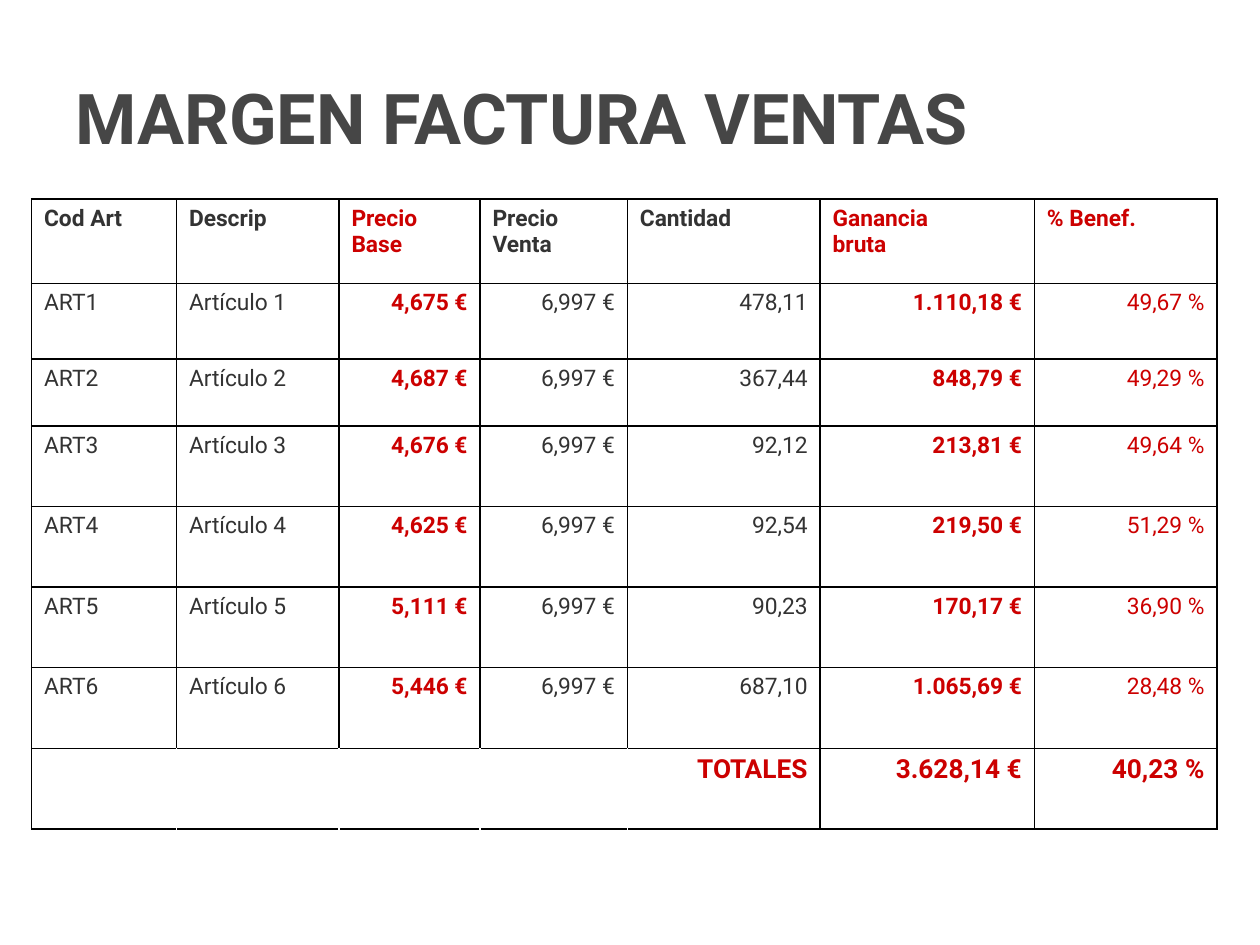
from dataclasses import dataclass

from pptx import Presentation
from pptx.dml.color import RGBColor as RGB
from pptx.enum.text import MSO_ANCHOR as Anchor, MSO_AUTO_SIZE as Fit, PP_ALIGN as Align
from pptx.oxml import parse_xml
from pptx.oxml.ns import nsdecls
from pptx.util import Inches, Pt

COLORS = {"title": "464646", "text": "333333", "accent": "CC0000",
          "line": "000000", "back": "FFFFFF"}
FONT = "Roboto"
HANG = Inches(0.38)


@dataclass
class Column:
    head: str
    width: float
    color: str = "text"
    bold: bool = False
    align: Align = Align.RIGHT


COLUMNS = [
    Column("Cod Art", 1.15, align=Align.LEFT),
    Column("Descrip", 1.29, align=Align.LEFT),
    Column("Precio\nBase", 1.12, "accent", True),
    Column("Precio\nVenta", 1.17),
    Column("Cantidad", 1.53),
    Column("Ganancia\nbruta", 1.7, "accent", True),
    Column("% Benef.", 1.45, "accent"),
]
HEIGHTS = [0.67, 0.6, 0.53] + [0.64] * 5

# Base price, quantity, gross gain and margin of each article
SALES = [
    ("4,675 €", "478,11", "1.110,18 €", "49,67 %"),
    ("4,687 €", "367,44", "848,79 €", "49,29 %"),
    ("4,676 €", "92,12", "213,81 €", "49,64 %"),
    ("4,625 €", "92,54", "219,50 €", "51,29 %"),
    ("5,111 €", "90,23", "170,17 €", "36,90 %"),
    ("5,446 €", "687,10", "1.065,69 €", "28,48 %"),
]
PRICE = "6,997 €"
TOTALS = {4: "TOTALES", 5: "3.628,14 €", 6: "40,23 %"}


def write(frame, text: str, size: float, color: str, bold: bool, align: Align) -> None:
    """Fill a text frame, one paragraph per line of text."""
    frame.text = text
    for para in frame.paragraphs:
        para.alignment = align
        props = para._p.get_or_add_pPr()
        props.set("marL", str(HANG))
        props.set("indent", str(-HANG))
        font = para.font
        font.name, font.size, font.bold = FONT, Pt(size), bold
        font.color.rgb = RGB.from_string(COLORS[color])


def frame_cell(cell, sides: str) -> None:
    """Draw the cell's borders on the given sides and clear its fill."""
    props = cell._tc.get_or_add_tcPr()
    for side in sides:
        props.append(parse_xml(
            f'<a:ln{side} {nsdecls("a")} w="{Pt(1)}"><a:solidFill>'
            f'<a:srgbClr val="{COLORS["line"]}"/></a:solidFill></a:ln{side}>'))
    cell.fill.background()


def main() -> None:
    deck = Presentation()
    deck.slide_width, deck.slide_height = Inches(10), Inches(7.5)
    slide = deck.slides.add_slide(deck.slide_layouts[5])
    slide.background.fill.solid()
    slide.background.fill.fore_color.rgb = RGB.from_string(COLORS["back"])

    # Title
    title = slide.shapes.title
    title.left, title.top = Inches(0.5), Inches(0.3)
    title.width, title.height = Inches(9), Inches(1.25)
    frame = title.text_frame
    frame.auto_size, frame.vertical_anchor = Fit.NONE, Anchor.MIDDLE
    write(frame, "MARGEN FACTURA VENTAS", 40, "title", True, Align.LEFT)

    # Table grid
    table = slide.shapes.add_table(
        len(HEIGHTS), len(COLUMNS), Inches(0.25), Inches(1.58),
        Inches(sum(col.width for col in COLUMNS)), Inches(sum(HEIGHTS))).table
    table.first_row = table.horz_banding = False
    for row, height in zip(table.rows, HEIGHTS):
        row.height = Inches(height)

    # Headings, articles and totals, column by column
    last = len(HEIGHTS) - 1
    for c, col in enumerate(COLUMNS):
        table.columns[c].width = Inches(col.width)
        write(table.cell(0, c).text_frame, col.head, 13, col.color, True, Align.LEFT)
        for r, (base, count, gain, rate) in enumerate(SALES, 1):
            values = (f"ART{r}", f"Artículo {r}", base, PRICE, count, gain, rate)
            write(table.cell(r, c).text_frame, values[c], 13, col.color, col.bold, col.align)
        if c in TOTALS:
            write(table.cell(last, c).text_frame, TOTALS[c], 15, "accent", True, Align.RIGHT)

        # The label area of the totals row has no inner borders
        for r in range(last):
            frame_cell(table.cell(r, c), "LRTB")
        left = "L" if c in (0, 5, 6) else ""
        right = "R" if c >= 4 else ""
        frame_cell(table.cell(last, c), left + right + "TB")

    deck.save("out.pptx")


if __name__ == "__main__":
    main()
